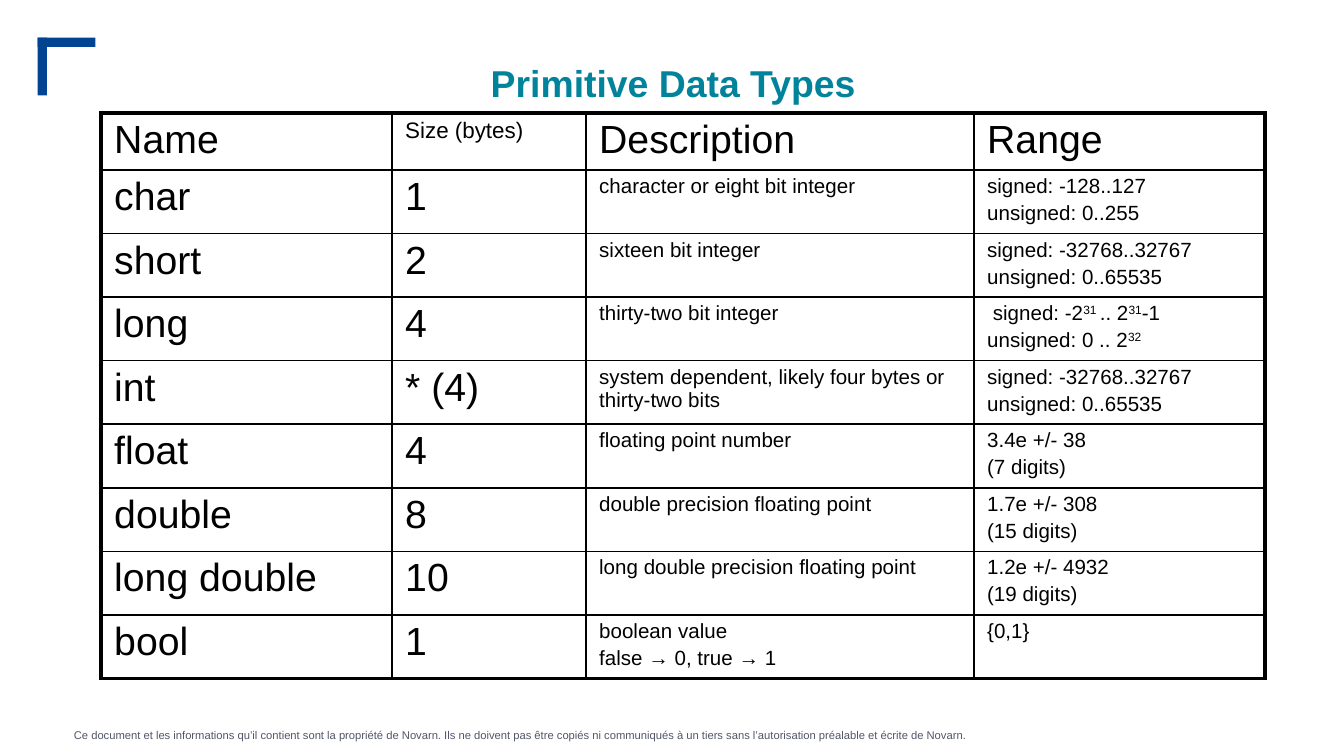
from lxml import etree
from pptx import Presentation, util as u
from pptx.dml.color import RGBColor
from pptx.enum import shapes, text
from pptx.oxml import ns

COLORS = {"black": "000000", "white": "FFFFFF", "teal": "00839B", "blue": "014491", "grey": "525668"}
FONT = "Arial"
TITLE = "Primitive Data Types"
NOTICE = (
    "Ce document et les informations qu’il contient sont la propriété de Novarn. "
    "Ils ne doivent pas être copiés ni communiqués à un tiers sans l’autorisation "
    "préalable et écrite de Novarn."
)
INT_RANGE = "signed: -32768..32767\nunsigned: 0..65535"
HEADER = ("Name", "Size (bytes)", "Description", "Range")
TYPES = [
    ("char", "1", "character or eight bit integer", "signed: -128..127\nunsigned: 0..255"),
    ("short", "2", "sixteen bit integer", INT_RANGE),
    ("long", "4", "thirty-two bit integer", " signed: -2^31 ^.. 2^31^-1\nunsigned: 0 .. 2^32^"),
    ("int", "* (4)", "system dependent, likely four bytes or thirty-two bits", INT_RANGE),
    ("float", "4", "floating point number", "3.4e +/- 38\n(7 digits)"),
    ("double", "8", "double precision floating point", "1.7e +/- 308\n(15 digits)"),
    ("long double", "10", "long double precision floating point", "1.2e +/- 4932\n(19 digits)"),
    ("bool", "1", "boolean value\nfalse → 0, true → 1", "{0,1}"),
]
HEADER_SIZES = (21, 12, 21, 21)
BODY_SIZES = (21, 21, 11, 11)
COLUMN_SHARES = (3, 2, 4, 3)
TABLE_LEFT, TABLE_TOP, TABLE_WIDTH = 0.75, 0.84, 8.66
HEADER_HEIGHT, BODY_HEIGHT = 0.42, 0.47
CORNER, LONG_SIDE, SHORT_SIDE = 0.28, 0.43, 0.07
THICK, THIN = 2.25, 1
SLIDE_WIDTH = 10
SLIDE_HEIGHT = SLIDE_WIDTH * 9 / 16


def color(name):
    return RGBColor.from_string(COLORS[name])


def inches(*values):
    return [u.Inches(value) for value in values]


def style(para, size, shade, bold=False):
    para.font.name = FONT
    para.font.size = u.Pt(size)
    para.font.bold = bold
    para.font.color.rgb = color(shade)


def write(frame, content, size):
    for index, line in enumerate(content.split("\n")):
        para = frame.add_paragraph() if index else frame.paragraphs[0]
        if index:
            para.space_before = u.Pt(0.2 * size)
        style(para, size, "black")
        for part, piece in enumerate(line.split("^")):
            if piece:
                span = para.add_run()
                span.text = piece
                if part % 2:
                    span._r.get_or_add_rPr().set("baseline", "30000")


def add_borders(cell, widths):
    properties = cell._tc.get_or_add_tcPr()
    for side, width in widths.items():
        line = etree.SubElement(properties, ns.qn("a:ln" + side), w=str(u.Pt(width)))
        fill = etree.SubElement(line, ns.qn("a:solidFill"))
        etree.SubElement(fill, ns.qn("a:srgbClr"), val=COLORS["black"])


def add_bracket(page):
    for width, height in ((SHORT_SIDE, LONG_SIDE), (LONG_SIDE, SHORT_SIDE)):
        bar = page.shapes.add_shape(
            shapes.MSO_SHAPE.RECTANGLE, *inches(CORNER, CORNER, width, height))
        bar.shadow.inherit = False
        bar.fill.solid()
        bar.fill.fore_color.rgb = color("blue")
        bar.line.fill.background()


def add_notice(page):
    box = page.shapes.add_textbox(*inches(0.55, 5.42, 7.84, 0.2))
    frame = box.text_frame
    frame.word_wrap = True
    frame.margin_left = frame.margin_right = frame.margin_top = frame.margin_bottom = 0
    frame.text = NOTICE
    style(frame.paragraphs[0], 6, "grey")


def add_title(page):
    title = page.shapes.title
    title.left, title.top, title.width, title.height = inches(0.51, 0.29, 9, 0.65)
    title.text_frame.text = TITLE
    title.text_frame.vertical_anchor = text.MSO_ANCHOR.MIDDLE
    para = title.text_frame.paragraphs[0]
    para.alignment = text.PP_ALIGN.CENTER
    style(para, 20, "teal", True)


def add_types(page):
    rows = [HEADER, *TYPES]
    last_row, last_column = len(rows) - 1, len(HEADER) - 1
    height = HEADER_HEIGHT + BODY_HEIGHT * last_row
    table = page.shapes.add_table(
        len(rows), len(HEADER), *inches(TABLE_LEFT, TABLE_TOP, TABLE_WIDTH, height)).table
    table.first_row = table.horz_banding = False
    for column, share in zip(table.columns, COLUMN_SHARES):
        column.width = u.Inches(TABLE_WIDTH * share / sum(COLUMN_SHARES))
    for r, row in enumerate(rows):
        table.rows[r].height = u.Inches(BODY_HEIGHT if r else HEADER_HEIGHT)
        sizes = BODY_SIZES if r else HEADER_SIZES
        for c, (content, size) in enumerate(zip(row, sizes)):
            cell = table.cell(r, c)
            cell.margin_left = cell.margin_right = u.Inches(0.1)
            cell.margin_top = cell.margin_bottom = u.Pt(2.7)
            outer = {"L": c == 0, "R": c == last_column, "T": r == 0, "B": r == last_row}
            add_borders(cell, {side: THICK if edge else THIN for side, edge in outer.items()})
            cell.fill.solid()
            cell.fill.fore_color.rgb = color("white")
            write(cell.text_frame, content, size)


def main():
    deck = Presentation()
    deck.slide_width, deck.slide_height = inches(SLIDE_WIDTH, SLIDE_HEIGHT)
    page = deck.slides.add_slide(deck.slide_layouts[5])
    add_notice(page)
    add_bracket(page)
    add_title(page)
    add_types(page)
    deck.save("out.pptx")


if __name__ == "__main__":
    main()
